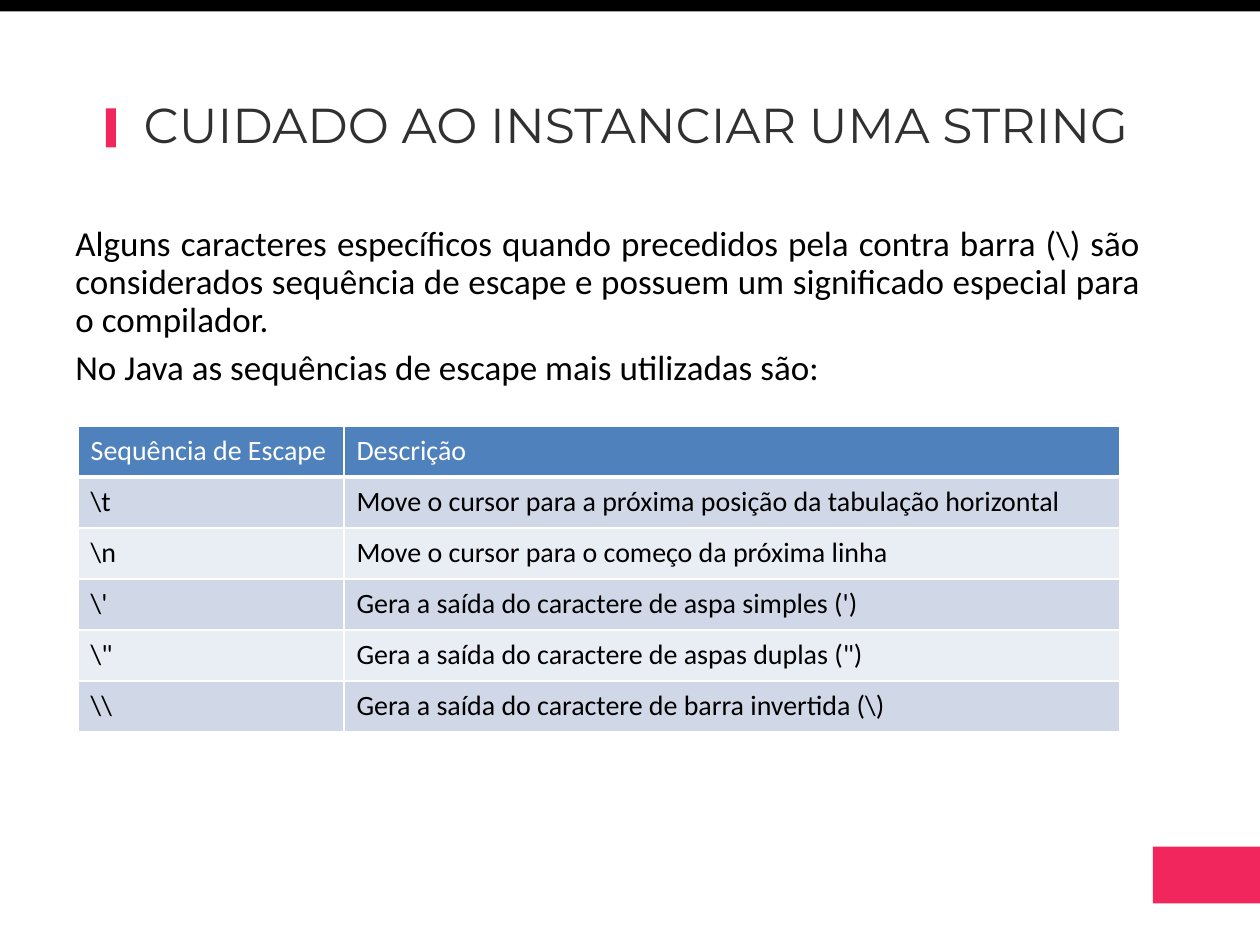
from pptx import Presentation
from pptx.dml.color import RGBColor
from pptx.enum.shapes import MSO_SHAPE
from pptx.enum.text import MSO_ANCHOR, MSO_AUTO_SIZE, PP_ALIGN
from pptx.oxml import parse_xml
from pptx.oxml.ns import nsdecls
from pptx.util import Inches, Pt

HUES = {
    "ink": "000000", "paper": "FFFFFF", "title": "303030", "pink": "F0265D",
    "head": "4F81BD", "odd": "D0D8E8", "even": "E9EDF4",
}
WIDE, HIGH = 10, 7.5
COLS, ROWS = 100, 75

INTRO = [
    r"Alguns caracteres específicos quando precedidos pela contra barra (\) são "
    "considerados sequência de escape e possuem um significado especial para o compilador.",
    "No Java as sequências de escape mais utilizadas são:",
]
CODES = [
    ("Sequência de Escape", "Descrição"),
    (r"\t", "Move o cursor para a próxima posição da tabulação horizontal"),
    (r"\n", "Move o cursor para o começo da próxima linha"),
    (r"\'", "Gera a saída do caractere de aspa simples (')"),
    (r"\"", 'Gera a saída do caractere de aspas duplas (")'),
    (r"\\", r"Gera a saída do caractere de barra invertida (\)"),
]


def hue(name):
    return RGBColor.from_string(HUES[name])


def place(x, y, w, h):
    dx, dy = WIDE / COLS, HIGH / ROWS
    return [Inches(n) for n in (x * dx, y * dy, w * dx, h * dy)]


def write(frame, *lines, size=16, font="Calibri", color="ink",
          align=PP_ALIGN.LEFT, lead=None, before=None):
    frame.word_wrap = True
    for i, line in enumerate(lines):
        para = frame.add_paragraph() if i else frame.paragraphs[0]
        para.alignment, para.line_spacing = align, lead
        if before is not None:
            para.space_before = Pt(before)
        run = para.add_run()
        run.text = line
        run.font.size, run.font.name = Pt(size), font
        run.font.color.rgb = hue(color)


def block(slide, box, color):
    shape = slide.shapes.add_shape(MSO_SHAPE.RECTANGLE, *place(*box))
    shape.shadow.inherit = False
    shape.fill.solid()
    shape.fill.fore_color.rgb = hue(color)
    shape.line.fill.background()


def header(slide, box):
    x, y, w, h = box
    title = slide.shapes.title
    title.left, title.top, title.width, title.height = place(x + 2, y, w - 2, h)
    frame = title.text_frame
    frame.auto_size = MSO_AUTO_SIZE.NONE
    frame.vertical_anchor = MSO_ANCHOR.TOP
    write(frame, "CUIDADO AO INSTANCIAR UMA STRING", size=28,
          font="Montserrat", color="title", lead=0.9, before=0)
    block(slide, (x, y + 1.1, 0.8, 3.1), "pink")


def intro(slide, box):
    frame = slide.shapes.add_textbox(*place(*box)).text_frame
    write(frame, *INTRO, size=20, align=PP_ALIGN.JUSTIFY, lead=0.9, before=6)


def edge(cell, base):
    props = cell._tc.get_or_add_tcPr()
    for side, width in zip("LRTB", (1, 1, 1, base)):
        props.append(parse_xml(
            f'<a:ln{side} {nsdecls("a")} w="{Pt(width)}"><a:solidFill>'
            f'<a:srgbClr val="{HUES["paper"]}"/></a:solidFill></a:ln{side}>'))


def codes(slide, box, split):
    x, y, w, h = box
    table = slide.shapes.add_table(len(CODES), 2, *place(*box)).table
    for col, span in zip(table.columns, (split, w - split)):
        col.width = place(0, 0, span, 0)[2]
    for r, row in enumerate(CODES):
        fill = "head" if r == 0 else "odd" if r % 2 else "even"
        for c, text in enumerate(row):
            cell = table.cell(r, c)
            edge(cell, 1 if r else 3)
            cell.fill.solid()
            cell.fill.fore_color.rgb = hue(fill)
            cell.vertical_anchor = MSO_ANCHOR.MIDDLE
            write(cell.text_frame, text, color="ink" if r else "paper")


def build():
    deck = Presentation()
    deck.slide_width, deck.slide_height = Inches(WIDE), Inches(HIGH)
    slide = deck.slides.add_slide(deck.slide_layouts[5])
    header(slide, (8.4, 7.5, 82.5, 5.3))
    block(slide, (0, 0, COLS, 0.9), "ink")
    block(slide, (91.5, 67.2, 8.5, 4.5), "pink")
    intro(slide, (5, 17.5, 86.5, 49.5))
    codes(slide, (6.2, 33.8, 82.7, 24.3), 21.1)
    deck.save("out.pptx")


build()
